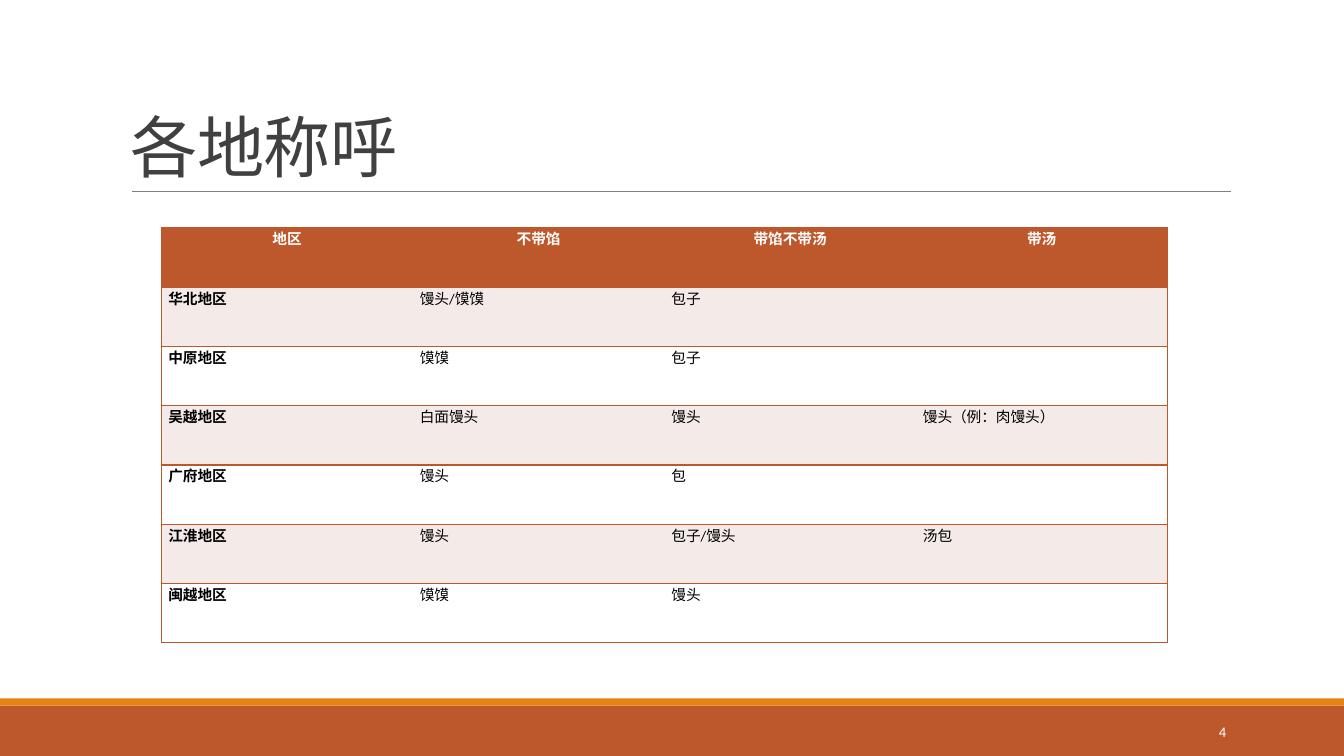
from dataclasses import dataclass
from lxml.etree import SubElement
from pptx import Presentation
from pptx.dml.color import RGBColor
from pptx.enum.shapes import MSO_CONNECTOR, MSO_SHAPE
from pptx.enum.text import MSO_ANCHOR, PP_ALIGN
from pptx.oxml import parse_xml
from pptx.oxml.ns import nsdecls, qn
from pptx.util import Inches, Pt


@dataclass(frozen=True)
class Theme:
    font: str = "Calibri"
    rust: str = "BD582C"
    gold: str = "E48312"
    blush: str = "F4EAE8"
    white: str = "FFFFFF"
    black: str = "000000"
    ink: str = "404040"
    gray: str = "808080"
    title: float = 48
    small: float = 10.5
    rule: float = 0.5
    edge: float = 1


THEME = Theme()
ROWS = [
    ["地区", "不带馅", "带馅不带汤", "带汤"],
    ["华北地区", "馒头/馍馍", "包子", ""],
    ["中原地区", "馍馍", "包子", ""],
    ["吴越地区", "白面馒头", "馒头", "馒头（例：肉馒头）"],
    ["广府地区", "馒头", "包", ""],
    ["江淮地区", "馒头", "包子/馒头", "汤包"],
    ["闽越地区", "馍馍", "馒头", ""],
]


def style(para, size, color, bold=False):
    for run in para.runs:
        run.font.name = THEME.font
        run.font.size = Pt(size)
        run.font.bold = bold
        run.font.color.rgb = RGBColor.from_string(color)


def add_text(slide, box, text, size, color, anchor, align):
    frame = slide.shapes.add_textbox(*map(Inches, box)).text_frame
    frame.word_wrap = True
    frame.vertical_anchor = anchor
    frame.text = text
    para = frame.paragraphs[0]
    para.alignment = align
    style(para, size, color)
    return para


def add_bar(slide, box, color):
    bar = slide.shapes.add_shape(MSO_SHAPE.RECTANGLE, *map(Inches, box))
    bar.shadow.inherit = False
    bar.fill.solid()
    bar.fill.fore_color.rgb = RGBColor.from_string(color)
    bar.line.fill.background()


def add_head(slide, box):
    left, top, width, height = box
    base = top + height
    rule = slide.shapes.add_connector(
        MSO_CONNECTOR.STRAIGHT, Inches(left + 0.11), Inches(base),
        Inches(left + width + 0.01), Inches(base))
    rule.line.color.rgb = RGBColor.from_string(THEME.gray)
    rule.line.width = Pt(THEME.rule)
    SubElement(rule._element.spPr, qn("a:effectLst"))
    para = add_text(slide, box, "各地称呼", THEME.title, THEME.ink,
                    MSO_ANCHOR.BOTTOM, PP_ALIGN.LEFT)
    para.line_spacing = 0.85
    para.runs[0].font._element.set("spc", "-50")


def set_edges(cell, sides):
    props = cell._tc.get_or_add_tcPr()
    for spot, side in enumerate("LRTB"):
        fill = (f'<a:solidFill><a:srgbClr val="{THEME.rust}"/></a:solidFill>'
                if side in sides else "<a:noFill/>")
        props.insert(spot, parse_xml(
            f'<a:ln{side} {nsdecls("a")} w="{Pt(THEME.edge)}">'
            f"{fill}</a:ln{side}>"))


def fill_cell(cell, text, row, col):
    head = row == 0
    cell.margin_left = cell.margin_right = Inches(0.07)
    cell.margin_top = cell.margin_bottom = 0
    cell.text = text
    para = cell.text_frame.paragraphs[0]
    para.alignment = PP_ALIGN.CENTER if head else PP_ALIGN.JUSTIFY
    style(para, THEME.small, THEME.white if head else THEME.black,
          head or col == 0)
    band = THEME.blush if row % 2 else THEME.white
    cell.fill.solid()
    cell.fill.fore_color.rgb = RGBColor.from_string(
        THEME.rust if head else band)
    last = len(ROWS[0]) - 1
    set_edges(cell, "TB" + "L" * (col == 0) + "R" * (col == last))


def add_grid(slide, box):
    table = slide.shapes.add_table(
        len(ROWS), len(ROWS[0]), *map(Inches, box)).table
    table.first_row = table.horz_banding = False
    for col in table.columns:
        col.width = Inches(box[2] / len(ROWS[0]))
    for line in table.rows:
        line.height = Inches(box[3] / len(ROWS))
    for row, words in enumerate(ROWS):
        for col, text in enumerate(words):
            fill_cell(table.cell(row, col), text, row, col)


def add_foot(slide, box):
    left, top, width, height = box
    strip = 0.07
    add_bar(slide, (left, top + strip, width, height - strip), THEME.rust)
    add_bar(slide, (left, top, width, strip), THEME.gold)
    add_text(slide, (left + width - 2.5, top + 0.13, 1.43, 0.4), "4",
             THEME.small, THEME.white, MSO_ANCHOR.MIDDLE, PP_ALIGN.RIGHT)


def main():
    deck = Presentation()
    deck.slide_width, deck.slide_height = Inches(13.33), Inches(7.5)
    slide = deck.slides.add_slide(deck.slide_layouts[6])
    add_head(slide, (1.2, 0.31, 11, 1.59))
    add_grid(slide, (1.6, 2.26, 9.98, 4.12))
    add_foot(slide, (0, 6.93, 13.33, 0.57))
    deck.save("out.pptx")


if __name__ == "__main__":
    main()
